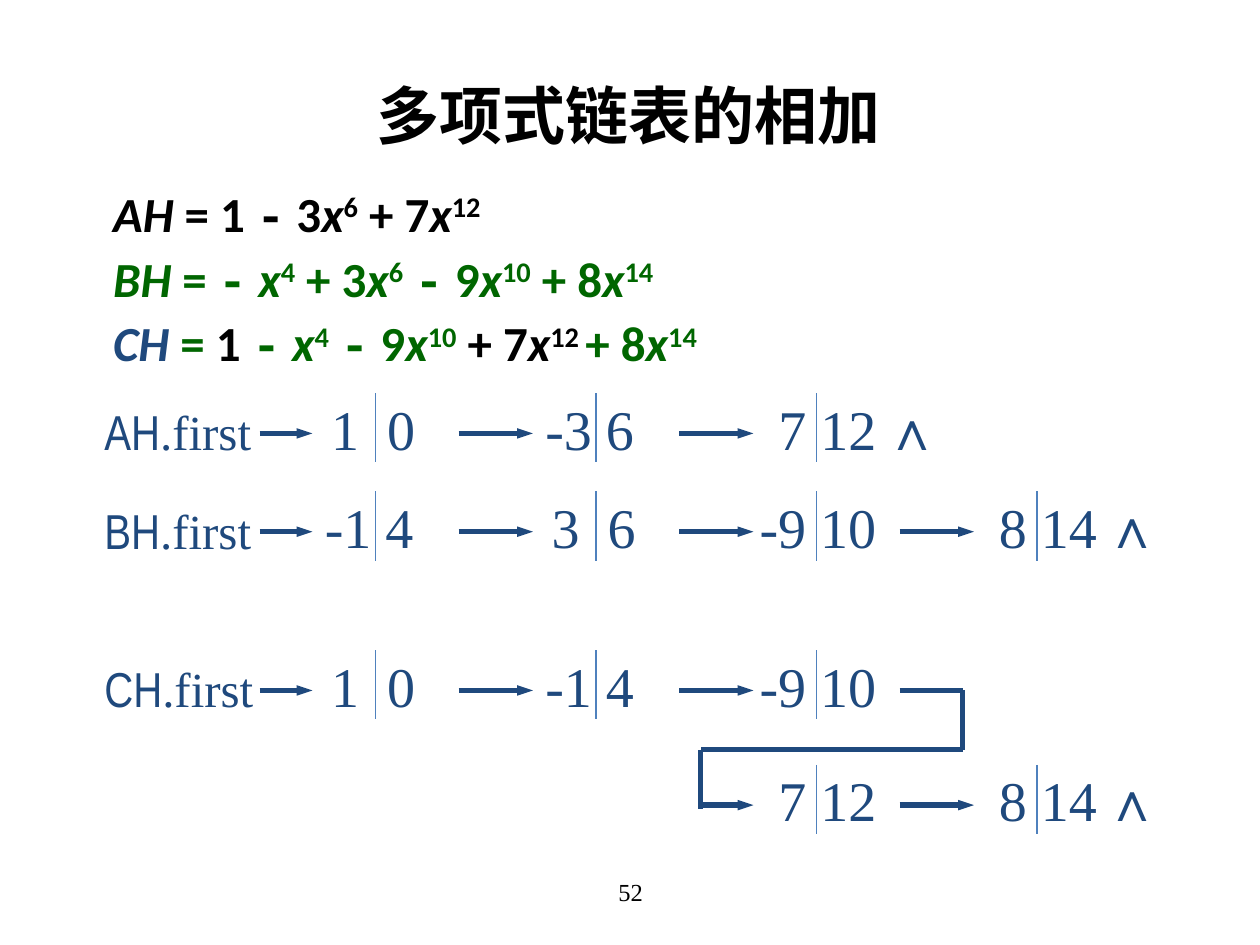
import dataclasses
import itertools

import lxml.etree
import pptx
import pptx.dml.color
import pptx.enum.shapes
import pptx.enum.text
import pptx.oxml.ns
import pptx.util

Inches = pptx.util.Inches
ALIGN = pptx.enum.text.PP_ALIGN
ANCHOR = pptx.enum.text.MSO_ANCHOR


@dataclasses.dataclass(frozen=True)
class Theme:
    """Fonts, colours and sizes of the slide."""
    heading: str = "Calibri"
    serif: str = "Times New Roman"
    narrow: str = "Arial Narrow"
    mono: str = "Courier New"
    black: str = "000000"
    green: str = "006600"
    navy: str = "1F497D"
    blue: str = "4F81BD"
    title_size: int = 36
    body_size: int = 28
    node_size: int = 32
    number_size: int = 14
    arrow_width: float = 3
    divider_width: float = 0.75


class PolynomialSlide:
    """Draws polynomial formulas and their linked lists."""

    first_divider = 2.98
    pitch = 1.75
    node_boxes = {
        "1  0": (0.45, 0.9), "3  6": (0.45, 0.9),
        "-1 4": (0.5, 0.96), "-3 6": (0.5, 0.96),
        "-9 10": (0.55, 1.16), "7 12": (0.4, 1), "8 14": (0.4, 1),
    }

    def __init__(self, slide, theme):
        self.slide = slide
        self.theme = theme

    def run(self, paragraph, text, font, size, color, bold=False, italic=False, raised=False):
        run = paragraph.add_run()
        run.text = text
        run.font.name = font
        run.font.size = pptx.util.Pt(size)
        run.font.bold = bold
        run.font.italic = italic
        run.font.color.rgb = pptx.dml.color.RGBColor.from_string(color)
        if raised:
            run.font._element.set("baseline", "30000")

    def frame(self, left, top, width, height, wrap=False):
        box = self.slide.shapes.add_textbox(Inches(left), Inches(top), Inches(width), Inches(height))
        box.text_frame.word_wrap = wrap
        return box.text_frame

    def title(self, text):
        title = self.slide.shapes.title
        title.left, title.top, title.width, title.height = map(Inches, (0.49, 0.48, 9, 0.86))
        title.text_frame.vertical_anchor = ANCHOR.MIDDLE
        heading = title.text_frame.paragraphs[0]
        heading.alignment = ALIGN.CENTER
        self.run(heading, text, self.theme.heading, self.theme.title_size, self.theme.black, bold=True)

    def formulas(self, formulas):
        frame = self.frame(0.8, 1.36, 9, 1.7, wrap=True)
        for index, formula in enumerate(formulas):
            line = frame.add_paragraph() if index else frame.paragraphs[0]
            line.line_spacing = 1.1
            for color, parts in formula:
                for style, text in parts:
                    font = self.theme.mono if style == "minus" else self.theme.heading
                    self.run(line, text, font, self.theme.body_size, color, bold=True,
                             italic=style == "italic", raised=style == "power")

    def number(self, text):
        frame = self.frame(3.42, 6.83, 3.17, 0.5, wrap=True)
        frame.vertical_anchor = ANCHOR.MIDDLE
        frame.paragraphs[0].alignment = ALIGN.CENTER
        self.run(frame.paragraphs[0], text, self.theme.serif, self.theme.number_size, self.theme.black)

    def line(self, start, end, color, width, arrow=False):
        connector = self.slide.shapes.add_connector(
            pptx.enum.shapes.MSO_CONNECTOR.STRAIGHT, *map(Inches, (*start, *end)))
        connector.line.color.rgb = pptx.dml.color.RGBColor.from_string(color)
        connector.line.width = pptx.util.Pt(width)
        qn = pptx.oxml.ns.qn
        if arrow:
            lxml.etree.SubElement(connector.line._get_or_add_ln(), qn("a:tailEnd"),
                                  type="triangle", w="sm", len="med")
        lxml.etree.SubElement(connector._element.spPr, qn("a:effectLst"))

    def link(self, *points):
        for start, end in itertools.pairwise(points):
            self.line(start, end, self.theme.navy, self.theme.arrow_width)

    def arrow(self, left, right, y):
        self.line((left, y), (right, y), self.theme.navy, self.theme.arrow_width, arrow=True)

    def label(self, head, top):
        label = self.frame(0.73, top, 1.42, 0.57).paragraphs[0]
        for text, font in ((head, self.theme.narrow), (".first", self.theme.serif)):
            self.run(label, text, font, self.theme.body_size, self.theme.navy)

    def cell(self, text, left, top, width):
        paragraph = self.frame(left, top, width, 0.63).paragraphs[0]
        paragraph.alignment = ALIGN.LEFT
        self.run(paragraph, text, self.theme.serif, self.theme.node_size, self.theme.navy)

    def chain(self, top, nodes, head=None, column=0, ends=True):
        if head:
            self.label(head, top + 0.02)
        for index, node in enumerate(nodes):
            divider = self.first_divider + (column + index) * self.pitch
            self.line((divider, top), (divider, top + 0.55), self.theme.blue, self.theme.divider_width)
            self.arrow(divider - (1.09 if index else 0.92), divider - 0.5, top + 0.32)
            offset, width = self.node_boxes[node]
            self.cell(node, divider - offset, top - 0.04, width)
        if ends:
            self.cell("∧", divider + 0.44, top - 0.04, 0.5)


def main():
    theme = Theme()
    deck = pptx.Presentation()
    deck.slide_width, deck.slide_height = Inches(10), Inches(7.5)
    page = PolynomialSlide(deck.slides.add_slide(deck.slide_layouts[5]), theme)

    x = ("italic", "x")
    minus = ("minus", "-")
    x4_term = [minus, ("plain", " "), x, ("power", "4")]
    x10_term = [("plain", " "), minus, ("plain", " 9"), x, ("power", "10")]
    x14_term = [x, ("power", "14")]
    page.title("多项式链表的相加")
    page.formulas([
        [(theme.black, [("italic", "AH"), ("plain", " = 1 "), minus, ("plain", " 3"), x,
                        ("power", "6"), ("plain", " + 7"), x, ("power", "12")])],
        [(theme.green, [("italic", "BH"), ("plain", " = "), *x4_term, ("plain", " + 3"), x,
                        ("power", "6"), *x10_term, ("plain", " + 8"), *x14_term])],
        [(theme.navy, [("italic", "CH ")]), (theme.green, [("plain", "= ")]),
         (theme.black, [("plain", "1 ")]),
         (theme.green, [*x4_term, *x10_term]),
         (theme.black, [("plain", " + 7"), x, ("power", "12 ")]),
         (theme.green, [("plain", "+ 8"), *x14_term])],
    ])
    page.number("52")

    page.chain(3.12, ["1  0", "-3 6", "7 12"], head="AH")
    page.chain(3.9, ["-1 4", "3  6", "-9 10", "8 14"], head="BH")
    page.chain(5.16, ["1  0", "-1 4", "-9 10"], head="CH", ends=False)
    page.link((7.14, 5.48), (7.64, 5.48), (7.64, 5.95), (5.56, 5.95), (5.56, 6.42))
    page.chain(6.07, ["7 12", "8 14"], column=2)
    deck.save("out.pptx")


if __name__ == "__main__":
    main()
